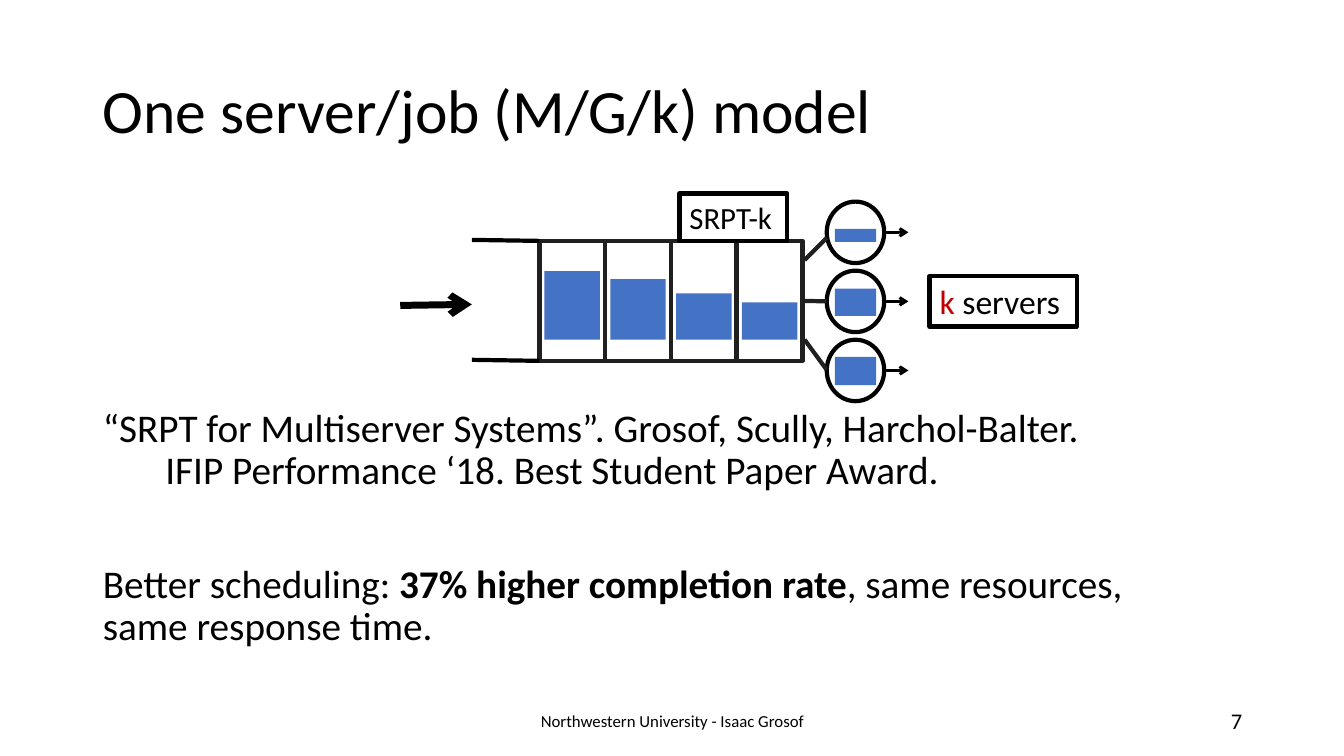
"""Builds the slide on the one-server-per-job (M/G/k) queueing model."""
from lxml import etree
from pptx import Presentation
from pptx.dml.color import RGBColor
from pptx.enum.shapes import MSO_CONNECTOR, MSO_SHAPE
from pptx.enum.text import MSO_ANCHOR, MSO_AUTO_SIZE, PP_ALIGN
from pptx.oxml.ns import qn
from pptx.util import Inches, Pt

RECT, OVAL, STRAIGHT = MSO_SHAPE.RECTANGLE, MSO_SHAPE.OVAL, MSO_CONNECTOR.STRAIGHT
TOP, MIDDLE = MSO_ANCHOR.TOP, MSO_ANCHOR.MIDDLE
LEFT, CENTER, RIGHT = PP_ALIGN.LEFT, PP_ALIGN.CENTER, PP_ALIGN.RIGHT
BLACK, WHITE, FRAME, JOB, RED = "000000", "FFFFFF", "202020", "4472C4", "C00000"

TITLE = "One server/job (M/G/k) model"
CITATION = ("“SRPT for Multiserver Systems”. Grosof, Scully, Harchol-Balter.\v"
            "IFIP Performance ‘18. Best Student Paper Award.")
RESULT = [("Better scheduling: ", BLACK, False),
          ("37% higher completion rate", BLACK, True),
          (", same resources, same response time.", BLACK, False)]
POLICY = [("SRPT-k", BLACK, False)]
SERVERS_LABEL = [("k ", RED, False), ("servers", BLACK, False)]
FOOTER, PAGE = "Northwestern University - Isaac Grosof", "7"

QUEUED_JOBS = [0.68, 0.6, 0.46, 0.37]
SERVED_JOBS = [(0.27, 0.13), (0.18, 0.27), (0.17, 0.28)]
FEED_STARTS = [2.58, 2.99, 3.37]
FEED_ENDS = [2.36, 2.99, 3.67]

QUEUE_X, QUEUE_Y, SLOT_W, SLOT_PITCH, SLOT_H = 5.35, 2.39, 0.65, 0.653, 1.19
JOB_INSET, JOB_FLOOR = 0.05, 3.37
SERVER_X, SERVER_Y, SERVER_W, SERVER_H, SERVER_PITCH = 8.2, 2, 0.57, 0.61, 0.685
ENTRY_X, ARRIVAL_X, EXIT_X = 4.68, 3.97, 9.01


def rgb(hex_colour):
    return RGBColor.from_string(hex_colour)


def inches(*lengths):
    return [Inches(length) for length in lengths]


def add_runs(paragraph, runs, size, align=LEFT):
    paragraph.alignment = align
    for text, colour, bold in runs:
        for index, line in enumerate(text.split("\v")):
            if index:
                paragraph.add_line_break()
            run = paragraph.add_run()
            run.text = line
            run.font.name, run.font.size, run.font.bold = "Calibri", Pt(size), bold
            run.font.color.rgb = rgb(colour)


def set_frame(frame, anchor):
    frame.word_wrap = True
    frame.auto_size = MSO_AUTO_SIZE.NONE
    frame.vertical_anchor = anchor


def place(placeholder, *box):
    placeholder.left, placeholder.top, placeholder.width, placeholder.height = inches(*box)


def add_block(slide, kind, box, fill, line=None):
    block = slide.shapes.add_shape(kind, *inches(*box))
    block.shadow.inherit = False
    block.fill.solid()
    block.fill.fore_color.rgb = rgb(fill)
    if line:
        block.line.color.rgb = rgb(line)
        block.line.width = Pt(3)
    else:
        block.line.fill.background()
    return block


def add_line(slide, start, end, colour, width, arrow=False):
    connector = slide.shapes.add_connector(STRAIGHT, *inches(*start, *end))
    connector.line.color.rgb = rgb(colour)
    connector.line.width = Pt(width)
    if arrow:
        line = connector.line._get_or_add_ln()
        etree.SubElement(line, qn("a:tailEnd"), type="arrow")
    etree.SubElement(connector._element.spPr, qn("a:effectLst"))
    return connector


def add_label(slide, box, runs, size):
    label = add_block(slide, RECT, box, WHITE, BLACK)
    set_frame(label.text_frame, TOP)
    add_runs(label.text_frame.paragraphs[0], runs, size)


def add_footer(slide, box, text, size, align):
    frame = slide.shapes.add_textbox(*inches(*box)).text_frame
    set_frame(frame, MIDDLE)
    add_runs(frame.paragraphs[0], [(text, BLACK, False)], size, align)


def add_text(slide):
    title, body = slide.placeholders
    place(title, 0.92, 0.4, 11.5, 1.45)
    set_frame(title.text_frame, MIDDLE)
    heading = title.text_frame.paragraphs[0]
    heading.line_spacing = 0.9
    add_runs(heading, [(TITLE, BLACK, False)], 44)

    place(body, 0.92, 4, 10.52, 2.63)
    set_frame(body.text_frame, TOP)
    citation = body.text_frame.paragraphs[0]
    result = body.text_frame.add_paragraph()
    rows = [(citation, [(CITATION, BLACK, False)], 0, 0.62), (result, RESULT, 51, 0)]
    for paragraph, runs, gap, hang in rows:
        properties = paragraph._p.get_or_add_pPr()
        properties.set("marL", str(Inches(hang)))
        properties.set("indent", str(-Inches(hang)))
        etree.SubElement(properties, qn("a:buNone"))
        paragraph.line_spacing = 0.9
        paragraph.space_before = Pt(gap)
        add_runs(paragraph, runs, 28)

    add_footer(slide, (9.42, 6.95, 3, 0.4), PAGE, 16, RIGHT)
    add_footer(slide, (4.42, 6.95, 4.5, 0.4), FOOTER, 12, CENTER)


def add_queue(slide):
    for index, height in enumerate(QUEUED_JOBS):
        x = QUEUE_X + index * SLOT_PITCH
        slot = add_block(slide, RECT, (x, QUEUE_Y, SLOT_W, SLOT_H), WHITE, FRAME)
        add_block(slide, RECT, (x + JOB_INSET, JOB_FLOOR - height,
                                SLOT_W - 2 * JOB_INSET, height), JOB)
    for y in (QUEUE_Y, QUEUE_Y + SLOT_H):
        add_line(slide, (ENTRY_X, y - 0.01), (QUEUE_X, y), BLACK, 3)
    add_line(slide, (ARRIVAL_X, 3.03), (ENTRY_X, 3.02), BLACK, 5, arrow=True)
    return slot


def add_servers(slide, last_slot):
    feeds = []
    for index, (job_top, job_height) in enumerate(SERVED_JOBS):
        y = SERVER_Y + index * SERVER_PITCH
        centre = y + SERVER_H / 2
        add_block(slide, OVAL, (SERVER_X, y, SERVER_W, SERVER_H), WHITE, BLACK)
        add_block(slide, RECT, (SERVER_X + 0.08, y + job_top, 0.41, job_height), JOB)
        add_line(slide, (SERVER_X + SERVER_W, centre), (EXIT_X, centre), BLACK, 2, arrow=True)
        feeds.append(add_line(slide, (7.98, FEED_STARTS[index]),
                              (SERVER_X, FEED_ENDS[index]), FRAME, 3))
    feeds[1].begin_connect(last_slot, 3)


def main():
    deck = Presentation()
    deck.slide_width, deck.slide_height = inches(13.33, 7.5)
    slide = deck.slides.add_slide(deck.slide_layouts[1])
    add_text(slide)
    add_servers(slide, add_queue(slide))
    add_label(slide, (6.74, 1.92, 1.07, 0.47), POLICY, 22)
    add_label(slide, (9.22, 2.74, 1.46, 0.5), SERVERS_LABEL, 24)
    deck.save("out.pptx")


if __name__ == "__main__":
    main()
